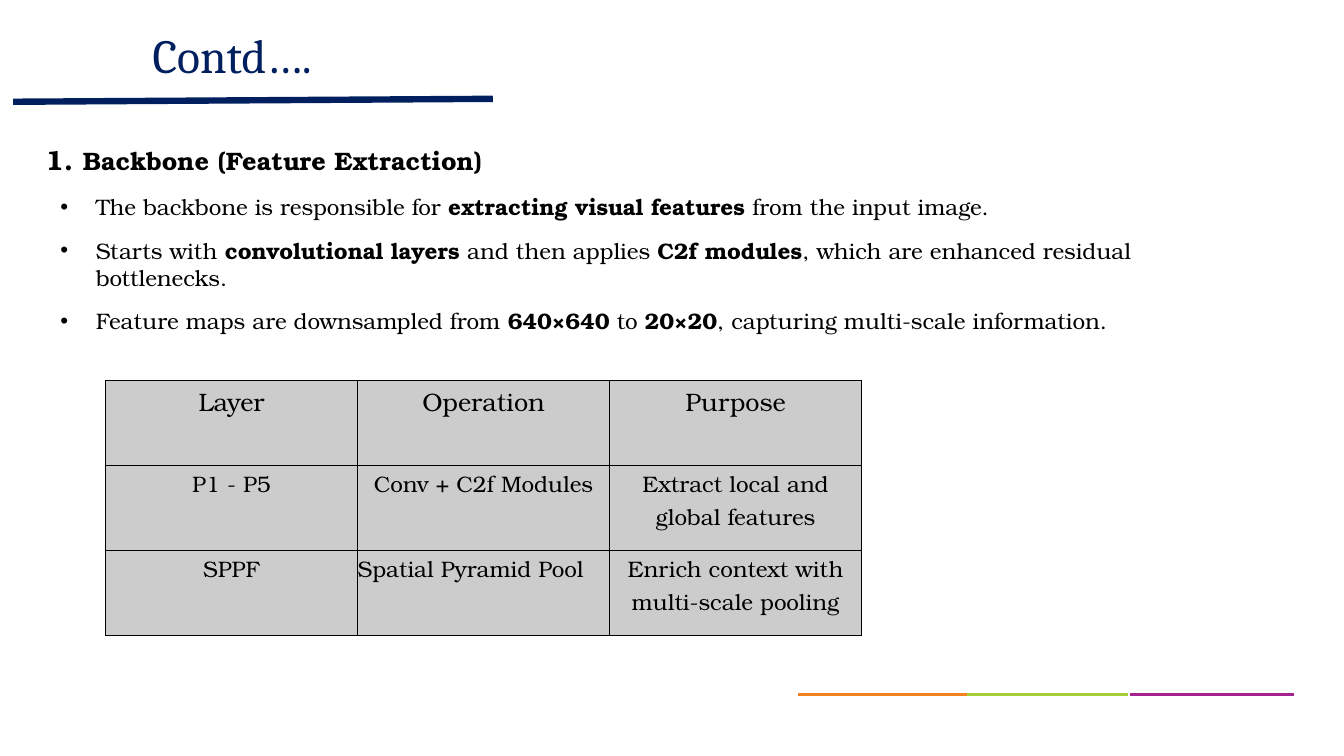
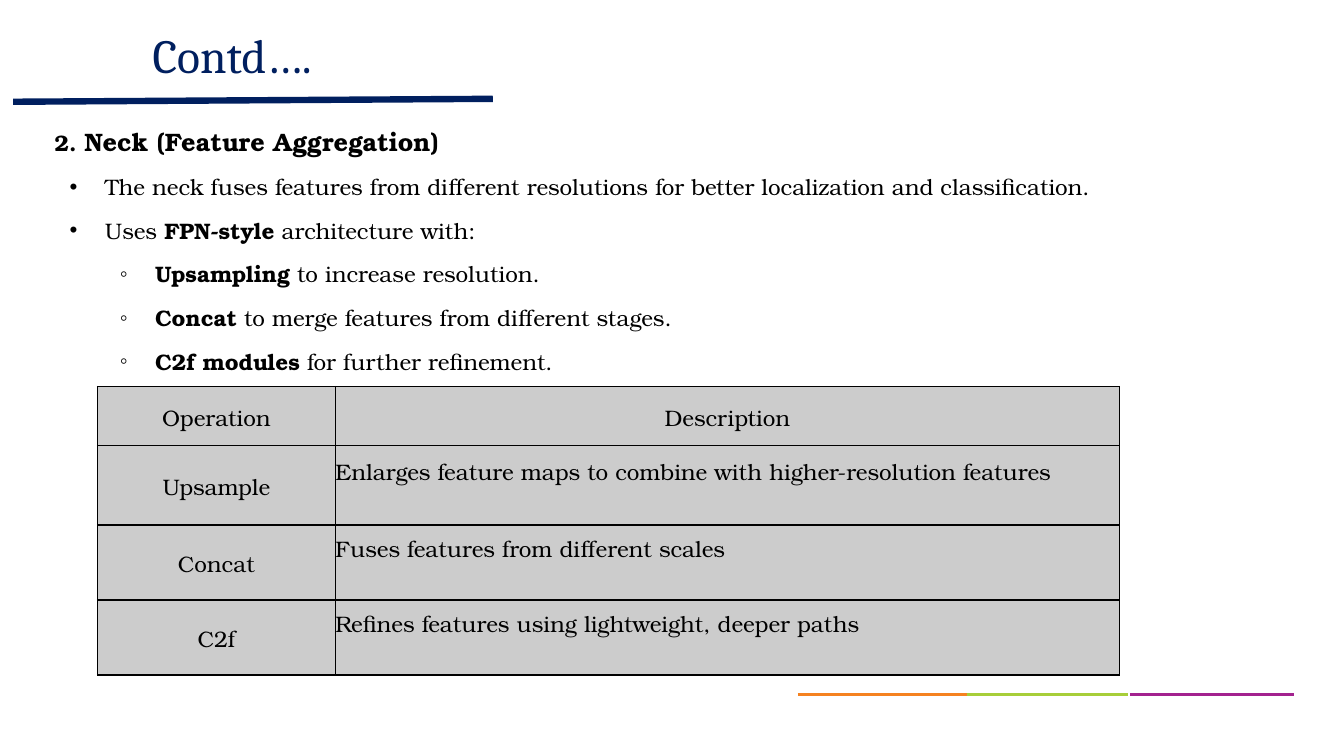
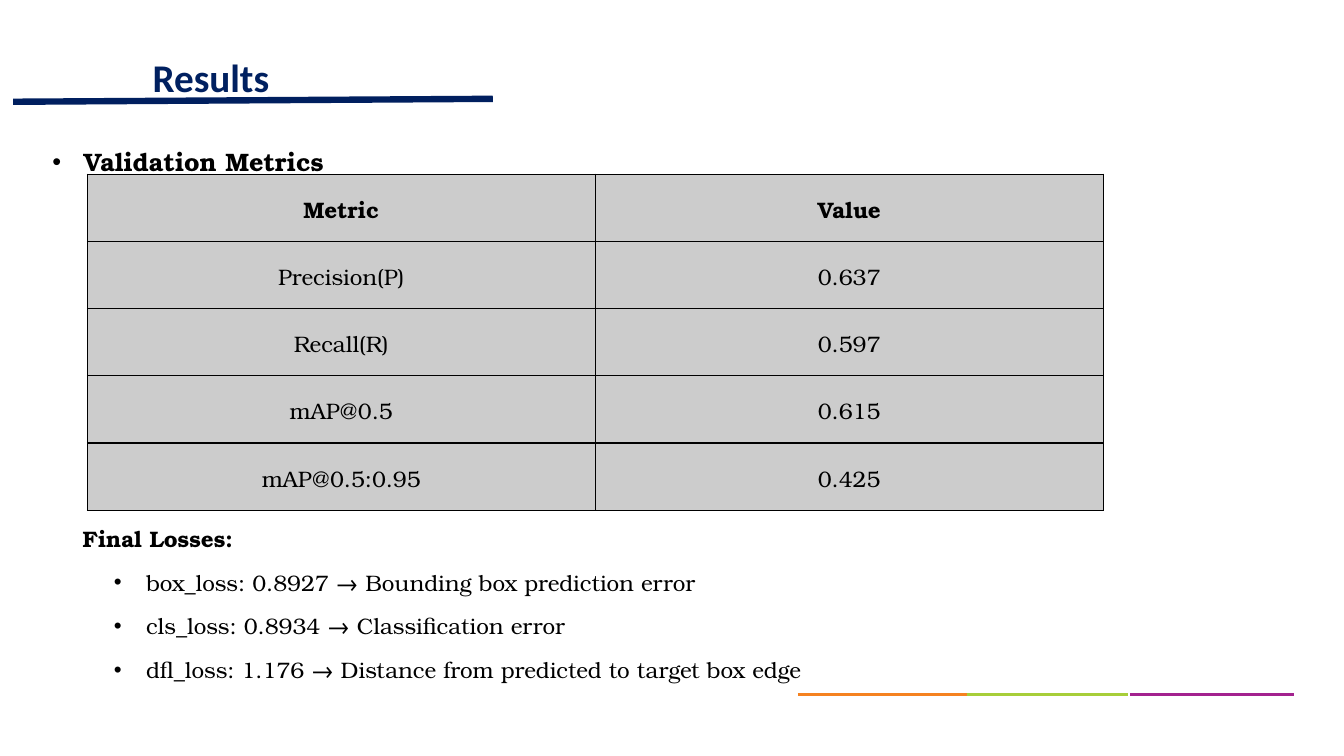
from lxml import etree
from pptx import Presentation
from pptx.dml.color import RGBColor
from pptx.enum import shapes, text
from pptx.oxml.ns import qn
from pptx.util import Pt

BLACK = RGBColor(0x00, 0x00, 0x00)
NAVY = RGBColor(0x00, 0x1F, 0x5F)
DEEP_BLUE = RGBColor(0x00, 0x20, 0x60)
PURPLE = RGBColor(0xA3, 0x22, 0x8F)
GREEN = RGBColor(0xA7, 0xCE, 0x39)
ORANGE = RGBColor(0xF5, 0x82, 0x20)
BODY_FONT = "TeX Gyre Bonum"
LEFT, CENTER = text.PP_ALIGN.LEFT, text.PP_ALIGN.CENTER
TOP, MIDDLE = text.MSO_ANCHOR.TOP, text.MSO_ANCHOR.MIDDLE

# Shared lines: start x, start y, end x, end y, colour, width
MASTER_LINES = [
    (807, 496, 924, 496, PURPLE, 2.28),
    (685, 496, 806, 496, GREEN, 2.28),
    (570, 496, 691, 496, ORANGE, 2.28),
    (9.4, 72.7, 352, 70.6, NAVY, 4.56),
]
CONTD_TITLE = dict(words="Contd….", top=18.7, size=34, font="Cambria", color=NAVY)

# Bullets are (level, text); ** marks bold. Heading runs are (text, size).
SLIDES = [
    dict(
        title=CONTD_TITLE,
        body=dict(
            box=(32.4, 90, 864, 180), spacing=1.5,
            heading=[("1. ", 20), ("Backbone (Feature Extraction)", 18)],
            bullets=[
                (0, "The backbone is responsible for **extracting visual features** from the input image."),
                (0, "Starts with **convolutional layers** and then applies **C2f modules**, "
                    "which are enhanced residual bottlenecks."),
                (0, "Feature maps are downsampled from **640×640** to **20×20**, "
                    "capturing multi-scale information."),
            ],
            levels=[("•", 36, 25.2)]),
        table=dict(
            at=(75.4, 272), columns=[180] * 3, heights=[60.6] * 3,
            anchor=TOP, header_size=18, left_cells={(2, 1)},
            rows=[("Layer", "Operation", "Purpose"),
                  ("P1 - P5", "Conv + C2f Modules", "Extract local and global features"),
                  ("SPPF", "Spatial Pyramid Pool", "Enrich context with multi-scale pooling")]),
    ),
    dict(
        title=CONTD_TITLE,
        body=dict(
            box=(38.9, 90, 864, 180),
            heading=[("2. ", 16), ("Neck (Feature Aggregation)", 18)],
            bullets=[
                (0, "The neck fuses features from different resolutions for better "
                    "localization and classification."),
                (0, "Uses **FPN-style** architecture with:"),
                (1, "**Upsampling** to increase resolution."),
                (1, "**Concat** to merge features from different stages."),
                (1, "**C2f modules** for further refinement."),
            ],
            levels=[("•", 36, 25.2), ("◦", 72, 25.2)]),
        table=dict(
            at=(69.6, 276), columns=[170, 560], heights=[42.2, 56.8, 53.6, 53.6],
            left_cells={(1, 1), (2, 1), (3, 1)}, left_margin_bottom=21.5,
            rows=[("Operation", "Description"),
                  ("Upsample", "Enlarges feature maps to combine with higher-resolution features"),
                  ("Concat", "Fuses features from different scales"),
                  ("C2f", "Refines features using lightweight, deeper paths")]),
    ),
    dict(
        title=dict(words="Results", top=21.6, size=28, font="Calibri",
                   color=DEEP_BLUE, bold=True, spacing=1.5),
        label=dict(box=(37.4, 93.6, 868, 34), words="**Validation Metrics**"),
        body=dict(
            box=(59, 375, 864, 130),
            heading=[("Final Losses:", 16)],
            bullets=[
                (1, "box_loss: 0.8927 → Bounding box prediction error"),
                (1, "cls_loss: 0.8934 → Classification error"),
                (1, "dfl_loss: 1.176 → Distance from predicted to target box edge"),
            ],
            levels=[None, ("•", 45.4, 23)]),
        table=dict(
            at=(62.4, 124.5), columns=[362.8] * 2, heights=[48] * 5, header_bold=True,
            rows=[("Metric", "Value"), ("Precision(P)", "0.637"), ("Recall(R)", "0.597"),
                  ("mAP@0.5", "0.615"), ("mAP@0.5:0.95", "0.425")]),
    ),
]


def write(paragraph, words, size=16, font=BODY_FONT, color=BLACK, bold=False,
          align=LEFT, spacing=1.0, before=0):
    """Add runs to a paragraph; parts between ** marks are bold."""
    paragraph.alignment = align
    paragraph.line_spacing = spacing
    paragraph.space_before = Pt(before)
    for index, part in enumerate(words.split("**")):
        if part:
            run = paragraph.add_run()
            run.text = part
            run.font.size, run.font.name = Pt(size), font
            run.font.color.rgb = color
            run.font.bold = bold or index % 2 == 1


def set_bullet(paragraph, mark=None, indent=0, hanging=0):
    properties = paragraph._p.get_or_add_pPr()
    properties.set("marL", str(Pt(indent)))
    properties.set("indent", str(-Pt(hanging)))
    if mark:
        etree.SubElement(properties, qn("a:buFont")).set("typeface", "Arial")
        etree.SubElement(properties, qn("a:buChar")).set("char", mark)
    else:
        etree.SubElement(properties, qn("a:buNone"))


def place(shape, box):
    shape.left, shape.top, shape.width, shape.height = map(Pt, box)
    prepare_frame(shape.text_frame)


def prepare_frame(frame):
    frame.margin_left = frame.margin_top = frame.margin_right = frame.margin_bottom = 0
    frame.word_wrap = True
    frame.auto_size = text.MSO_AUTO_SIZE.NONE
    frame.vertical_anchor = TOP


def add_master_lines(slide, master):
    """Draw the shared lines and hand them to the slide master."""
    for number, (x1, y1, x2, y2, color, width) in enumerate(MASTER_LINES, 101):
        line = slide.shapes.add_connector(
            shapes.MSO_CONNECTOR.STRAIGHT, Pt(x1), Pt(y1), Pt(x2), Pt(y2))
        line.line.color.rgb, line.line.width = color, Pt(width)
        etree.SubElement(line.element.spPr, qn("a:effectLst"))
        line.element.nvCxnSpPr.cNvPr.set("id", str(number))
        master.element.cSld.spTree.append(line.element)


def add_title(slide, words, top, **style):
    place(slide.shapes.title, (109, top, 750, 44))
    write(slide.shapes.title.text_frame.paragraphs[0], words, **style)


def add_label(slide, box, words):
    label = slide.shapes.add_textbox(0, 0, 0, 0)
    place(label, box)
    paragraph = label.text_frame.paragraphs[0]
    set_bullet(paragraph, "•", 22.4, 22.4)
    write(paragraph, words, size=18, spacing=1.5)


def fill_body(slide, box, heading, bullets, levels, spacing=1.0):
    body = slide.placeholders[1]
    place(body, box)
    first = body.text_frame.paragraphs[0]
    set_bullet(first)
    for words, size in heading:
        write(first, words, size=size, bold=True, spacing=spacing)
    for level, words in bullets:
        paragraph = body.text_frame.add_paragraph()
        paragraph.level = level
        set_bullet(paragraph, *levels[level])
        write(paragraph, words, before=12)


def style_cell(cell):
    """Black hairline borders and a fifth-strength black fill."""
    properties = cell._tc.get_or_add_tcPr()
    for side in ("lnL", "lnR", "lnT", "lnB"):
        border = etree.SubElement(properties, qn("a:" + side), w=str(Pt(1)))
        solid = etree.SubElement(border, qn("a:solidFill"))
        etree.SubElement(solid, qn("a:srgbClr"), val=str(BLACK))
    cell.fill.solid()
    cell.fill.fore_color.rgb = BLACK
    color = properties.find(qn("a:solidFill")).find(qn("a:srgbClr"))
    etree.SubElement(color, qn("a:alpha"), val="20000")


def add_table(slide, at, columns, heights, rows, anchor=MIDDLE, header_size=16,
              header_bold=False, left_cells=(), left_margin_bottom=0):
    table = slide.shapes.add_table(
        len(rows), len(columns), Pt(at[0]), Pt(at[1]),
        Pt(sum(columns)), Pt(sum(heights))).table
    for column, width in zip(table.columns, columns):
        column.width = Pt(width)
    for r, (row, height) in enumerate(zip(rows, heights)):
        table.rows[r].height = Pt(height)
        for c, words in enumerate(row):
            cell = table.cell(r, c)
            is_left = (r, c) in left_cells
            cell.margin_left = cell.margin_right = cell.margin_top = 0
            cell.margin_bottom = Pt(left_margin_bottom if is_left else 0)
            cell.vertical_anchor = anchor
            style_cell(cell)
            write(cell.text_frame.paragraphs[0], words,
                  size=header_size if r == 0 else 16, bold=header_bold and r == 0,
                  align=LEFT if is_left else CENTER, spacing=1.1)


def main():
    presentation = Presentation()
    presentation.slide_width, presentation.slide_height = Pt(960), Pt(540)
    for number, content in enumerate(SLIDES):
        slide = presentation.slides.add_slide(presentation.slide_layouts[1])
        if number == 0:
            add_master_lines(slide, presentation.slide_master)
        add_title(slide, **content["title"])
        if "label" in content:
            add_label(slide, **content["label"])
        fill_body(slide, **content["body"])
        add_table(slide, **content["table"])
    presentation.save("out.pptx")


if __name__ == "__main__":
    main()
